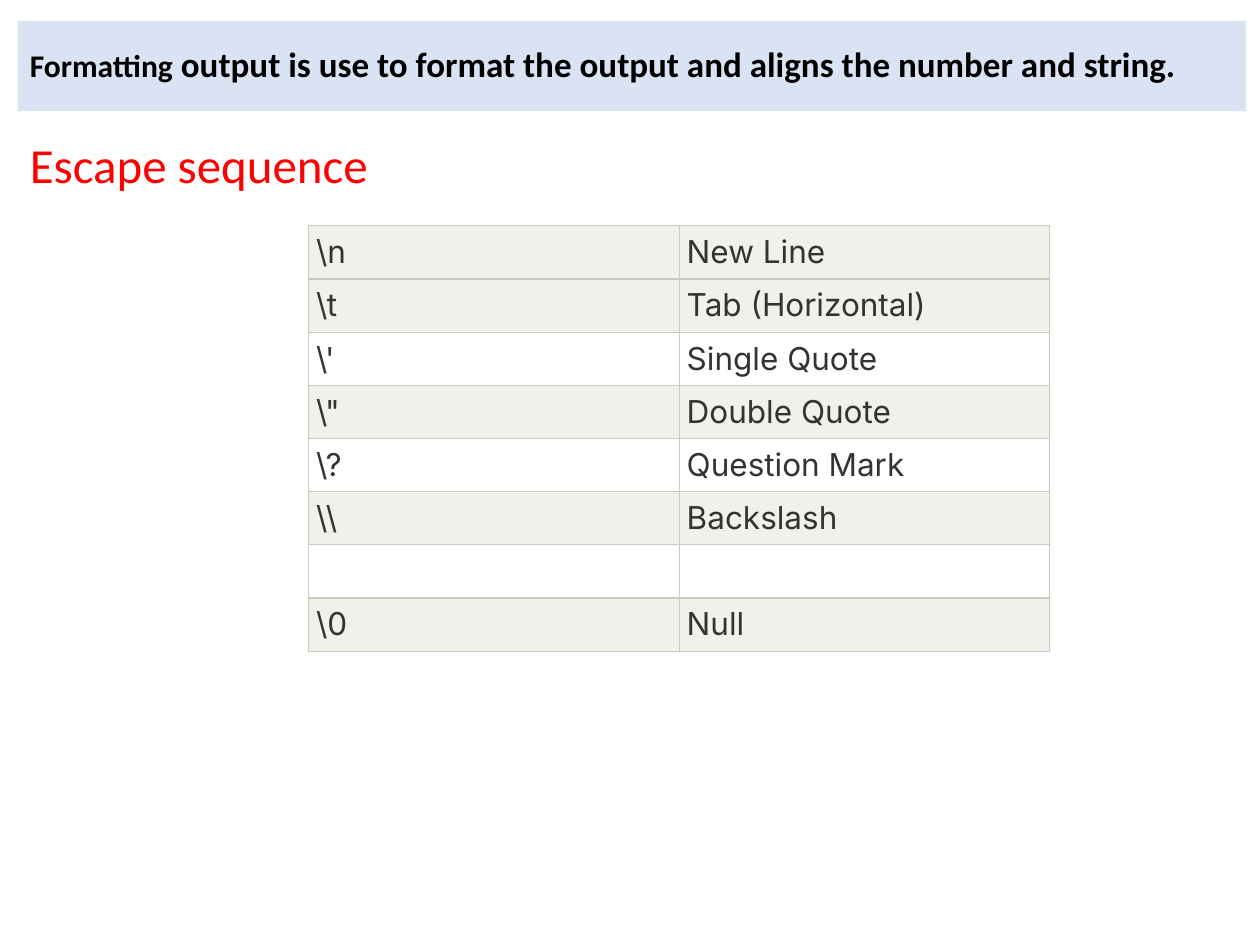
from lxml import etree
from pptx import Presentation
from pptx.dml.color import RGBColor
from pptx.enum import shapes, text
from pptx.oxml import ns
from pptx.util import Pt

BLACK = RGBColor(0x00, 0x00, 0x00)
RED = RGBColor(0xFF, 0x00, 0x00)
WHITE = RGBColor(0xFF, 0xFF, 0xFF)
DARK_GREY = RGBColor(0x33, 0x33, 0x33)
PALE_BLUE = RGBColor(0xDA, 0xE3, 0xF3)
PALE_GREEN = RGBColor(0xEF, 0xF1, 0xEB)
BORDER = RGBColor(0xC7, 0xCC, 0xBE)

ESCAPES = [
    ("\\n", "New Line", PALE_GREEN),
    ("\\t", "Tab (Horizontal)", PALE_GREEN),
    ("\\'", "Single Quote", WHITE),
    ('\\"', "Double Quote", PALE_GREEN),
    ("\\?", "Question Mark", WHITE),
    ("\\\\", "Backslash", PALE_GREEN),
    ("", "", WHITE),
    ("\\0", "Null", PALE_GREEN),
]


def add_run(p, words, size, color, name="Calibri", bold=False):
    """Append a formatted run to a paragraph."""
    r = p.add_run()
    r.text = words
    r.font.name, r.font.size, r.font.bold = name, Pt(size), bold
    r.font.color.rgb = color


def add_banner(s, left, top, width, height, parts):
    """Add a filled bar whose text is a list of (words, size) parts."""
    sp = s.shapes.add_shape(shapes.MSO_SHAPE.RECTANGLE,
                            Pt(left), Pt(top), Pt(width), Pt(height))
    sp.shadow.inherit = False
    sp.fill.solid()
    sp.fill.fore_color.rgb = PALE_BLUE
    sp.line.fill.background()
    tf = sp.text_frame
    tf.word_wrap = True
    tf.vertical_anchor = text.MSO_ANCHOR.MIDDLE
    p = tf.paragraphs[0]
    p.alignment = text.PP_ALIGN.LEFT
    p.line_spacing = 0.9
    for words, size in parts:
        add_run(p, words, size, BLACK, bold=True)


def add_heading(s, left, top, width, height, words):
    """Add a red heading in a text box."""
    tf = s.shapes.add_textbox(Pt(left), Pt(top), Pt(width), Pt(height)).text_frame
    tf.word_wrap = True
    p = tf.paragraphs[0]
    p.line_spacing = 0.9
    add_run(p, words, 28, RED)


def set_borders(cell):
    """Give a cell a thin line on all four sides."""
    tcPr = cell._tc.get_or_add_tcPr()
    for i, side in enumerate(("lnL", "lnR", "lnT", "lnB")):
        ln = etree.Element(ns.qn("a:" + side), w=str(Pt(0.75)))
        fill = etree.SubElement(ln, ns.qn("a:solidFill"))
        etree.SubElement(fill, ns.qn("a:srgbClr"), val=str(BORDER))
        tcPr.insert(i, ln)


def fill_cell(cell, words, color):
    """Set the text, margins, fill and borders of a cell."""
    cell.margin_left = cell.margin_right = Pt(4.3)
    cell.margin_top = cell.margin_bottom = Pt(4.3)
    cell.fill.solid()
    cell.fill.fore_color.rgb = color
    set_borders(cell)
    if words:
        p = cell.text_frame.paragraphs[0]
        p.alignment = text.PP_ALIGN.JUSTIFY
        add_run(p, words, 18, DARK_GREY, name="Inter")


def add_escape_table(s, left, top, width, row_height):
    """Add the table of escape sequences and their meanings."""
    table = s.shapes.add_table(len(ESCAPES), 2, Pt(left), Pt(top), Pt(width),
                               Pt(row_height * len(ESCAPES))).table
    table.first_row = table.horz_banding = False
    for row, (code, meaning, color) in zip(table.rows, ESCAPES):
        for cell, words in zip(row.cells, (code, meaning)):
            fill_cell(cell, words, color)


def main():
    """Build the slide and save it."""
    prs = Presentation()
    prs.slide_width, prs.slide_height = Pt(720), Pt(540)
    s = prs.slides.add_slide(prs.slide_layouts[6])
    add_banner(s, 10, 12, 702, 51.5, [
        ("Formatting", 18),
        (" output is use to format the output and aligns the number and string.", 20),
    ])
    add_heading(s, 10, 77, 651, 60.5, "Escape sequence")
    add_escape_table(s, 176.4, 129, 423.5, 30.4)
    prs.save("out.pptx")


main()
